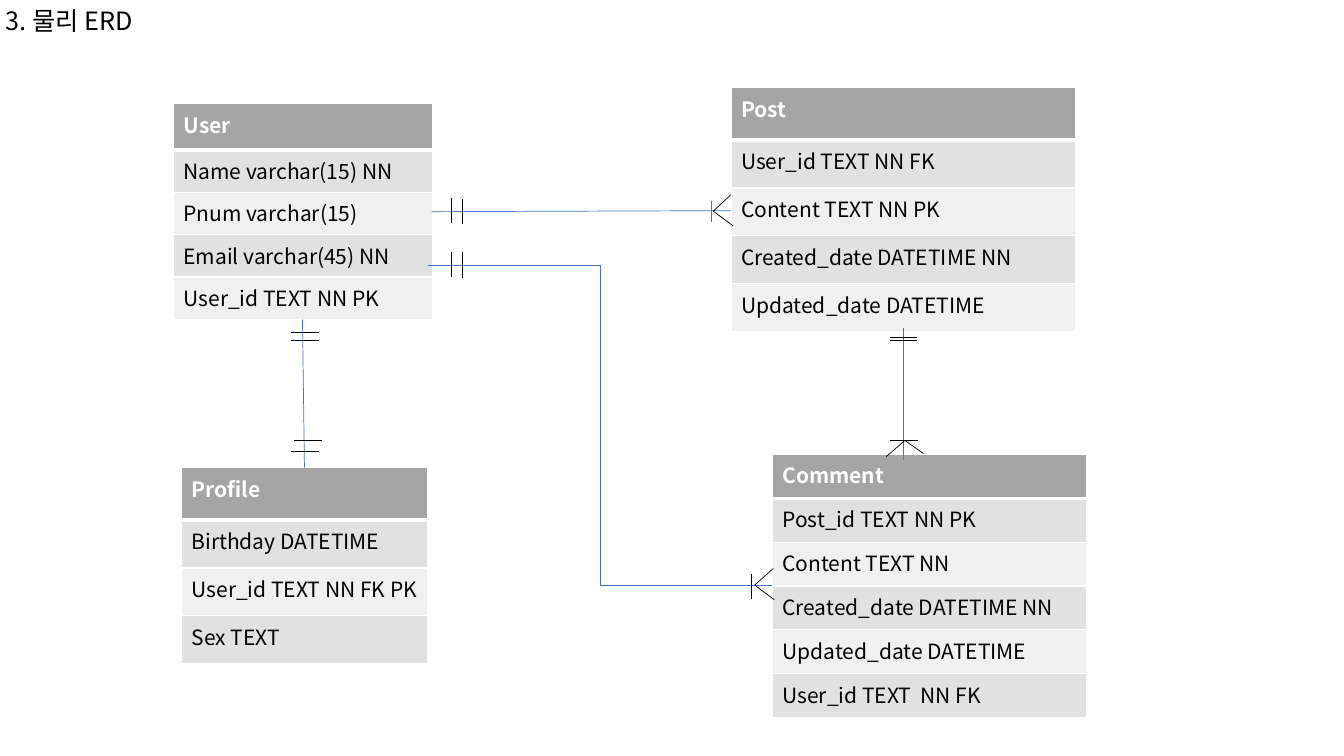
from typing import NamedTuple

from lxml.etree import SubElement
from pptx import Presentation
from pptx.dml.color import RGBColor
from pptx.enum.shapes import MSO_CONNECTOR as Link
from pptx.enum.text import MSO_ANCHOR as Anchor
from pptx.oxml.ns import qn
from pptx.util import Inches, Pt

WHITE = RGBColor(0xFF, 0xFF, 0xFF)
BLACK = RGBColor(0, 0, 0)
BLUE = RGBColor(0x44, 0x72, 0xC4)
HEADER = RGBColor(0xA5, 0xA5, 0xA5)
BANDS = (RGBColor(0xE1, 0xE1, 0xE1), RGBColor(0xF0, 0xF0, 0xF0))
FONT = "Noto Sans CJK KR"
GRID = 0.1
SIDES = ("lnL", "lnR", "lnT", "lnB")


class Entity(NamedTuple):
    name: str
    col: float
    row: float
    width: float
    header: float
    height: float
    fields: tuple[str, ...]


class Line(NamedTuple):
    start: tuple[float, float]
    end: tuple[float, float]
    color: RGBColor = BLACK
    kind: Link = Link.STRAIGHT


class Bar(NamedTuple):
    col: float
    row: float
    dx: float = 0
    dy: float = 0
    color: RGBColor = BLACK


class Foot(NamedTuple):
    tip: tuple[float, float]
    toes: tuple[tuple[float, float], tuple[float, float]]


ENTITIES = (
    Entity("Profile", 18, 46.4, 24.4, 5.2, 4.75,
           ("Birthday DATETIME", "User_id TEXT NN FK PK", "Sex TEXT")),
    Entity("Comment", 76.6, 45.1, 31.2, 4.35, 4.35,
           ("Post_id TEXT NN PK", "Content TEXT NN", "Created_date DATETIME NN",
            "Updated_date DATETIME", "User_id TEXT  NN FK")),
    Entity("User", 17.2, 10.3, 25.7, 4.6, 4.2,
           ("Name varchar(15) NN", "Pnum varchar(15)", "Email varchar(45) NN",
            "User_id TEXT NN PK")),
    Entity("Post", 72.5, 8.7, 34.2, 5.2, 4.75,
           ("User_id TEXT NN FK", "Content TEXT NN PK", "Created_date DATETIME NN",
            "Updated_date DATETIME")),
)
RELATIONS = (
    Line((72.5, 20.9), (42.8, 21), BLUE),
    Line((42.4, 26.3), (76.6, 58.1), BLUE, Link.ELBOW),
    Line((30, 31.7), (30.2, 46.4), BLUE),
    Line((89.6, 32.5), (89.6, 45.6), BLUE),
)
BARS = (
    *(Bar(c, r, dx=2.7) for c, r in (
        (30.25, 33), (30.25, 33.8), (30.55, 43.7), (30.25, 44.8),
        (89.6, 33.5), (89.6, 33.8), (89.65, 43.7))),
    *(Bar(c, r, dy=2.5) for c, r in (
        (44.8, 20.85), (45.9, 21), (44.8, 26.25), (45.9, 26.3), (74.5, 58.15))),
    Bar(70.6, 20.95, dy=2.1, color=BLUE),
)
FEET = (
    Foot((89.75, 43.7), ((87.9, 45.3), (91.6, 45))),
    Foot((70.75, 20.95), ((72.5, 19.3), (72.7, 22.4))),
    Foot((74.85, 58.05), ((76.7, 56.4), (76.8, 59.5))),
)


def g(units: float) -> int:
    return Inches(units * GRID)


def write(tf, text: str, size: float, color: RGBColor, bold: bool = False):
    p = tf.paragraphs[0]
    r = p.add_run()
    r.text = text
    for name, value in {"name": FONT, "size": Pt(size), "bold": bold}.items():
        setattr(r.font, name, value)
    r.font.color.rgb = color
    SubElement(r.font._element, qn("a:ea"), typeface=FONT)
    return p


def draw_borders(cell, widths: dict[str, float]) -> None:
    tcPr = cell._tc.get_or_add_tcPr()
    for side in SIDES:
        ln = SubElement(tcPr, qn(f"a:{side}"), w=str(Pt(widths.get(side, 1))))
        fill = SubElement(ln, qn("a:solidFill"))
        SubElement(fill, qn("a:srgbClr"), val=str(WHITE))


def draw_entity(s, e: Entity) -> None:
    rows = (e.name, *e.fields)
    height = e.header + e.height * len(e.fields)
    table = s.shapes.add_table(
        len(rows), 1, g(e.col), g(e.row), g(e.width), g(height)).table
    for i, text in enumerate(rows):
        head = i == 0
        table.rows[i].height = g(e.header if head else e.height)
        cell = table.cell(i, 0)
        draw_borders(cell, {0: {"lnB": 3}, 1: {"lnT": 3}}.get(i, {}))
        cell.fill.solid()
        cell.fill.fore_color.rgb = HEADER if head else BANDS[(i - 1) % 2]
        write(cell.text_frame, text, 15, WHITE if head else BLACK, head)


def draw_line(s, line: Line) -> None:
    sp = s.shapes.add_connector(line.kind, *map(g, (*line.start, *line.end)))
    sp.line.width = Pt(0.5)
    sp.line.color.rgb = line.color
    SubElement(sp._element.spPr, qn("a:effectLst"))


def draw_bar(s, b: Bar) -> None:
    x, y = b.dx / 2, b.dy / 2
    draw_line(s, Line((b.col - x, b.row - y), (b.col + x, b.row + y), b.color))


def draw_foot(s, foot: Foot) -> None:
    for toe in foot.toes:
        draw_line(s, Line(foot.tip, toe))


def draw_title(s, text: str) -> None:
    tf = s.shapes.add_textbox(g(-0.4), g(-0.4), g(16.7), g(5.2)).text_frame
    for name, value in {"word_wrap": True, "vertical_anchor": Anchor.MIDDLE}.items():
        setattr(tf, name, value)
    write(tf, text, 18, BLACK).line_spacing = 0.9


prs = Presentation()
prs.slide_width, prs.slide_height = Inches(13.33), Inches(7.5)
s = prs.slides.add_slide(prs.slide_layouts[6])
draw_title(s, "3. 물리 ERD")
for draw, items in ((draw_entity, ENTITIES), (draw_line, RELATIONS),
                    (draw_bar, BARS), (draw_foot, FEET)):
    for item in items:
        draw(s, item)
prs.save("out.pptx")
